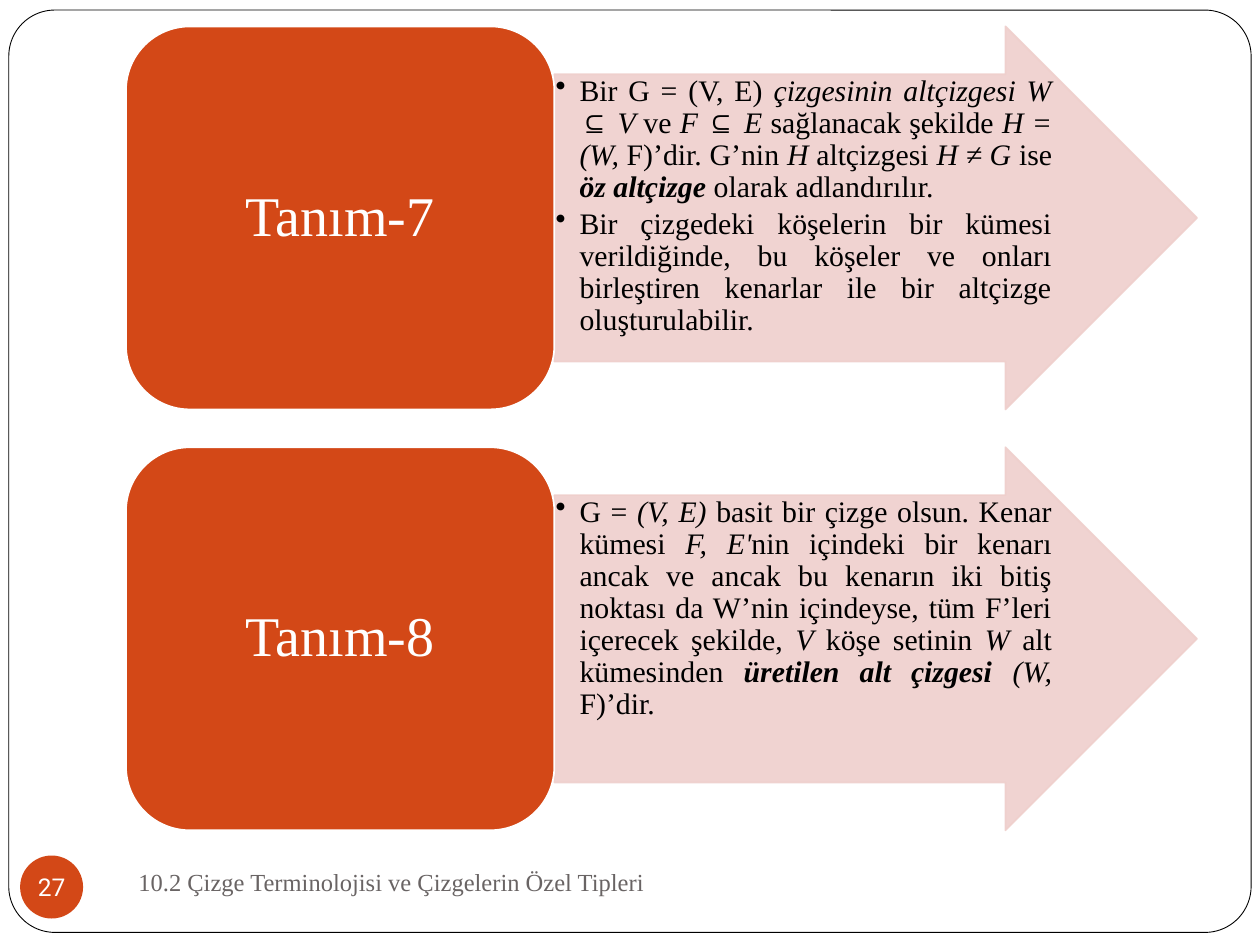
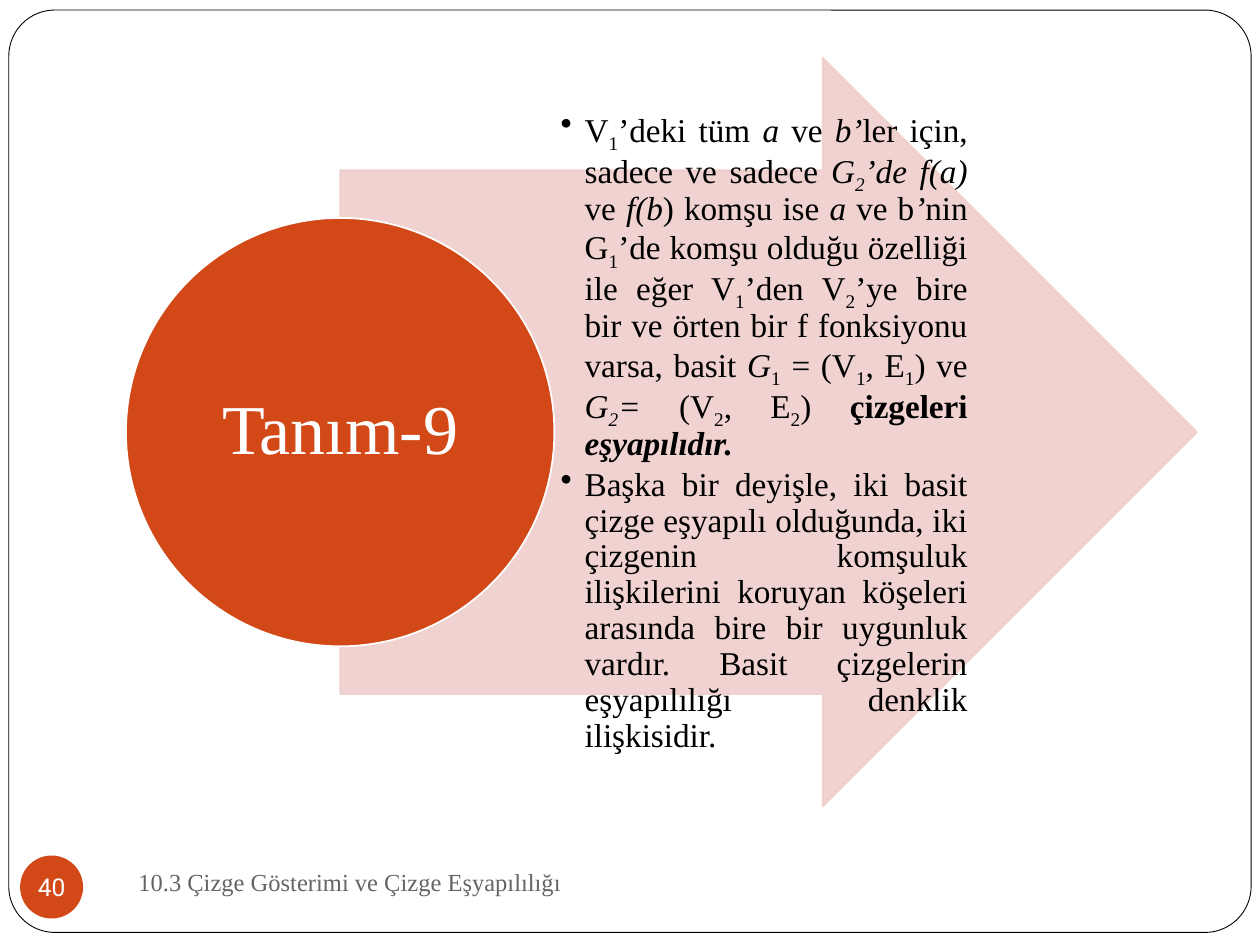
from lxml import etree
from pptx import Presentation
from pptx.dml.color import RGBColor
from pptx.enum.shapes import MSO_SHAPE
from pptx.enum.text import MSO_ANCHOR, PP_ALIGN
from pptx.oxml.ns import qn
from pptx.util import Inches, Pt

ROUND, OVAL, ARROW = MSO_SHAPE.ROUNDED_RECTANGLE, MSO_SHAPE.OVAL, MSO_SHAPE.RIGHT_ARROW
TOP, MIDDLE = MSO_ANCHOR.TOP, MSO_ANCHOR.MIDDLE
LEFT, CENTER, JUSTIFY = PP_ALIGN.LEFT, PP_ALIGN.CENTER, PP_ALIGN.JUSTIFY

ORANGE = RGBColor(0xD3, 0x48, 0x17)
PINK = RGBColor(0xEF, 0xCF, 0xCC)
GREY = RGBColor(0x69, 0x64, 0x64)
WHITE = RGBColor(0xFF, 0xFF, 0xFF)
BLACK = RGBColor(0, 0, 0)
SERIF, SANS = "Times New Roman", "Roboto"

# Runs are plain strings or (text, style): i italic, b bold, _ subscript.
SUB1, SUB2 = ("1", "_"), ("2", "_")
TANIM_7 = [
    ["Bir G = (V, E) ", ("çizgesinin altçizgesi W ", "i"), "⊆ ", ("V ", "i"), "ve ",
     ("F ", "i"), "⊆ ", ("E ", "i"), "sağlanacak şekilde ", ("H = (W,", "i"),
     " F)’dir. G’nin ", ("H ", "i"), "altçizgesi ", ("H ≠ G ", "i"), "ise ",
     ("öz altçizge ", "bi"), "olarak adlandırılır."],
    ["Bir çizgedeki köşelerin bir kümesi verildiğinde, bu köşeler ve onları "
     "birleştiren kenarlar ile bir altçizge oluşturulabilir."],
]
TANIM_8 = [
    ["G = ", ("(V, E) ", "i"), "basit bir çizge olsun. Kenar kümesi ", ("F, E'", "i"),
     "nin içindeki bir kenarı ancak ve ancak bu kenarın iki bitiş noktası da "
     "W’nin içindeyse, tüm F’leri içerecek şekilde, ", ("V ", "i"), "köşe setinin ",
     ("W", "i"), " alt kümesinden ", ("üretilen alt çizgesi ", "bi"), ("(W,", "i"),
     " F)’dir."],
]
TANIM_9 = [
    ["V", SUB1, "’deki tüm ", ("a", "i"), " ve ", ("b’", "i"),
     "ler için, sadece ve sadece ", ("G", "i"), ("2", "i_"), ("’de f(a)", "i"), " ve ",
     ("f(b", "i"), ") komşu ise ", ("a", "i"), " ve b", ("’", "i"), "nin G", SUB1,
     "’de komşu olduğu özelliği ile eğer V", SUB1, "’den V", SUB2,
     "’ye bire bir ve örten bir f fonksiyonu varsa, basit ", ("G", "i"), SUB1, " = (V",
     SUB1, ", E", SUB1, ") ve ", ("G", "i"), ("2", "i_"), ("=", "i"), " (V", SUB2,
     ", E", SUB2, ") ", ("çizgeleri ", "b"), ("eşyapılıdır.", "bi")],
    ["Başka bir deyişle, iki basit çizge eşyapılı olduğunda, iki çizgenin komşuluk "
     "ilişkilerini koruyan köşeleri arasında bire bir uygunluk vardır. Basit "
     "çizgelerin eşyapılılığı denklik ilişkisidir."],
]

BADGE_X, BADGE_W, RIGHT = 1, 3.4, 9.5
BODY_X = BADGE_X + BADGE_W
CARD_H, CARD_GAP, CARDS_TOP = 3.04, 0.3, 0.21

# Each card: label, paragraphs; each layout gives the format of all its cards.
STACK = dict(badge=ROUND, badge_h=CARD_H, arrow_x=BODY_X, card_h=CARD_H, top=CARDS_TOP,
             shaft=0.75, body_w=3.96, anchor=TOP, insets=(0.01,) * 4,
             label_size=32, size=17)
SINGLE = dict(badge=OVAL, badge_h=BADGE_W, arrow_x=BADGE_X + BADGE_W / 2, card_h=5.94,
              top=0.46, shaft=0.7, body_w=3.31, anchor=MIDDLE,
              insets=(0.05, 0.01, 0.03, 0.01), label_size=40, size=19)
SLIDES = [
    ("27", "10.2 Çizge Terminolojisi ve Çizgelerin Özel Tipleri", STACK,
     [("Tanım-7", TANIM_7), ("Tanım-8", TANIM_8)]),
    ("40", "10.3 Çizge Gösterimi ve Çizge Eşyapılılığı", SINGLE,
     [("Tanım-9", TANIM_9)]),
]


def add_shape(s, kind, box, fill, line=None, width=1, adj=(), alpha=None):
    sp = s.shapes.add_shape(kind, *map(Inches, box))
    sp.shadow.inherit = False
    for i, value in enumerate(adj):
        sp.adjustments[i] = value
    sp.fill.solid()
    sp.fill.fore_color.rgb = fill
    if line is None:
        sp.line.fill.background()
    else:
        sp.line.color.rgb = line
        sp.line.width = Pt(width)
    if alpha:
        for clr in sp._element.spPr.iter(qn("a:srgbClr")):
            etree.SubElement(clr, qn("a:alpha")).set("val", str(alpha * 1000))
    return sp


def add_bullet(p):
    pPr = p._p.get_or_add_pPr()
    pPr.set("marL", str(Inches(0.19)))
    pPr.set("indent", str(-Inches(0.19)))
    etree.SubElement(pPr, qn("a:buChar")).set("char", "•")


def write(sp, paragraphs, size, color, font=SERIF, align=LEFT, anchor=MIDDLE,
          insets=(0.1, 0.05, 0.1, 0.05), wrap=True, spacing=None, after=0, bullets=False):
    tf = sp.text_frame
    frame = dict(zip(("margin_left", "margin_top", "margin_right", "margin_bottom"),
                     map(Inches, insets)), word_wrap=wrap, vertical_anchor=anchor)
    for name, value in frame.items():
        setattr(tf, name, value)
    for i, runs in enumerate(paragraphs):
        p = tf.add_paragraph() if i else tf.paragraphs[0]
        for name, value in dict(alignment=align, line_spacing=spacing,
                                space_after=Pt(after)).items():
            setattr(p, name, value)
        if bullets:
            add_bullet(p)
        for run in runs:
            text, style = (run, "") if isinstance(run, str) else run
            r = p.add_run()
            r.text = text
            for name, value in dict(name=font, size=Pt(size), bold="b" in style,
                                    italic="i" in style).items():
                setattr(r.font, name, value)
            r.font.color.rgb = color
            if "_" in style:
                r._r.get_or_add_rPr().set("baseline", "-25000")


def add_page(prs, number, footer):
    """Add a slide with the shared frame, footer and number disc."""
    s = prs.slides.add_slide(prs.slide_layouts[6])
    add_shape(s, ROUND, (0.07, 0.08, 9.86, 7.32), WHITE, BLACK, 0.5, adj=[0.05])
    write(s.shapes.add_textbox(*map(Inches, (1, 6.75, 4.33, 0.5))), [[footer]], 14, GREY)
    disc = add_shape(s, OVAL, (0.16, 6.79, 0.5, 0.5), ORANGE)
    write(disc, [[number]], 14, WHITE, SANS, CENTER, insets=(0,) * 4, wrap=False)
    return s


def add_card(s, top, label, paragraphs, f):
    """Add an arrow with its definition, and the labelled badge before it."""
    h, size = f["card_h"], f["size"]
    add_shape(s, ARROW, (f["arrow_x"], top, RIGHT - f["arrow_x"], h), PINK, PINK,
              adj=(f["shaft"], 0.5), alpha=90)
    body = (BODY_X, top + h * (1 - f["shaft"]) / 2, f["body_w"], h * f["shaft"])
    write(s.shapes.add_textbox(*map(Inches, body)), paragraphs, size, BLACK,
          align=JUSTIFY, anchor=f["anchor"], insets=f["insets"], spacing=0.9,
          after=round(size * 0.15, 1), bullets=True)
    badge = add_shape(s, f["badge"], (BADGE_X, top + (h - f["badge_h"]) / 2, BADGE_W,
                                      f["badge_h"]), ORANGE, WHITE)
    write(badge, [[label]], f["label_size"], WHITE, align=CENTER, spacing=0.9)


def main():
    prs = Presentation()
    prs.slide_width, prs.slide_height = Inches(10), Inches(7.5)
    for number, footer, layout, cards in SLIDES:
        s = add_page(prs, number, footer)
        for i, (label, paragraphs) in enumerate(cards):
            top = layout["top"] + i * (layout["card_h"] + CARD_GAP)
            add_card(s, top, label, paragraphs, layout)
    prs.save("out.pptx")


if __name__ == "__main__":
    main()
